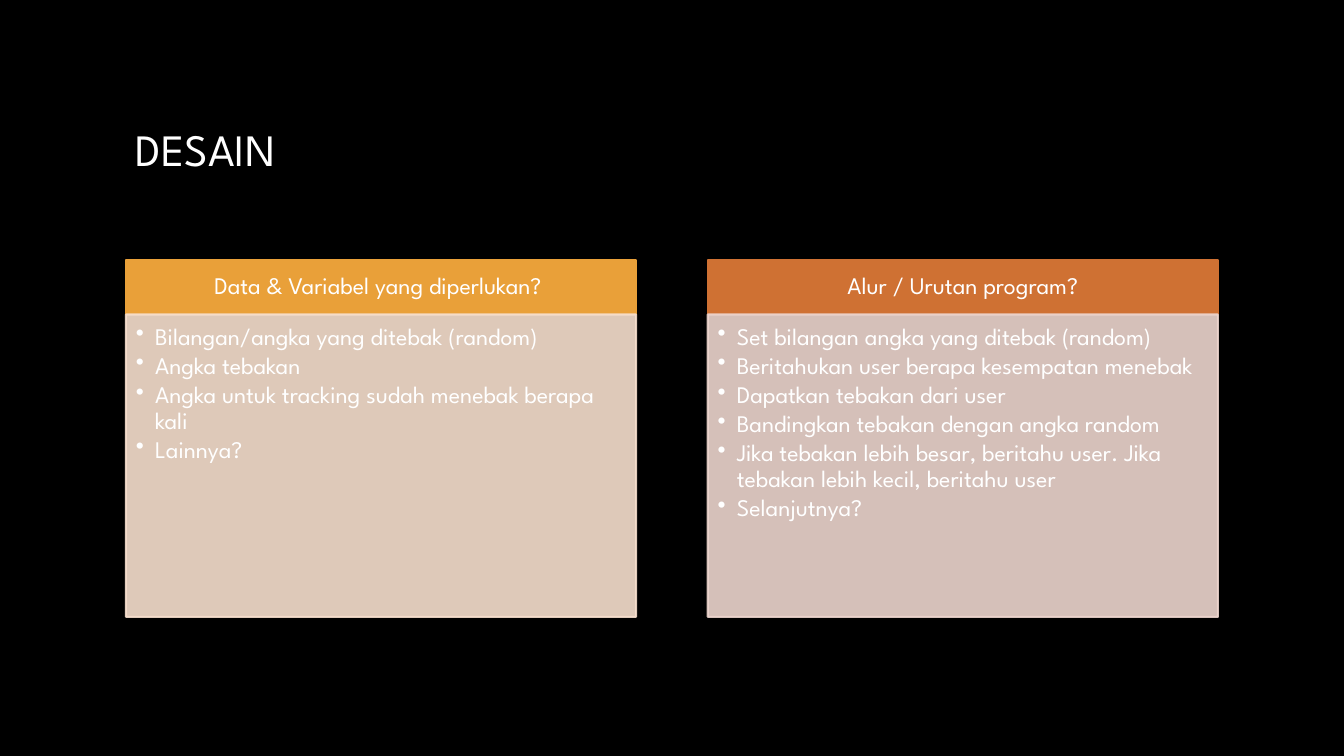
from lxml import etree
from pptx import Presentation
from pptx.dml.color import RGBColor
from pptx.enum.shapes import MSO_SHAPE
from pptx.enum.text import MSO_ANCHOR, PP_ALIGN
from pptx.oxml.ns import qn
from pptx.util import Inches, Pt

RECT = MSO_SHAPE.RECTANGLE
TOP, MIDDLE = MSO_ANCHOR.TOP, MSO_ANCHOR.MIDDLE
LEFT, CENTER = PP_ALIGN.LEFT, PP_ALIGN.CENTER

FONT = "League Spartan"
BLACK = RGBColor(0x00, 0x00, 0x00)
WHITE = RGBColor(0xFF, 0xFF, 0xFF)
AMBER = RGBColor(0xE9, 0xA0, 0x39)
CREAM = RGBColor(0xF7, 0xDF, 0xCE)
RUST = RGBColor(0xCF, 0x71, 0x33)
ROSE = RGBColor(0xED, 0xD5, 0xCE)


def write(shape, lines, size=17, align=LEFT, anchor=TOP, pads=(0.1, 0.05, 0.1, 0.05),
          space=1.0, after=0, bullet=None):
    """Fill a shape with one paragraph per line; pads run left, top, right, bottom."""
    frame = shape.text_frame
    frame.word_wrap = True
    frame.vertical_anchor = anchor
    (frame.margin_left, frame.margin_top,
     frame.margin_right, frame.margin_bottom) = map(Inches, pads)
    for i, line in enumerate(lines):
        para = frame.add_paragraph() if i else frame.paragraphs[0]
        para.alignment = align
        para.line_spacing = space
        para.space_after = Pt(after)
        run = para.add_run()
        run.text = line
        run.font.name = FONT
        run.font.size = Pt(size)
        run.font.color.rgb = WHITE
        if bullet:
            props = para._p.get_or_add_pPr()
            props.set("lvl", "1")
            props.set("marL", str(Inches(0.19)))
            props.set("indent", str(Inches(-0.19)))
            etree.SubElement(props, qn("a:buChar"), char=bullet)


def add_box(left, top, height, color, alpha=100):
    """Add a column-wide rectangle with fill and line of one colour; alpha in percent."""
    box = slide.shapes.add_shape(RECT, Inches(left), Inches(top), Inches(WIDTH), Inches(height))
    box.shadow.inherit = False
    box.fill.solid()
    box.fill.fore_color.rgb = color
    box.line.color.rgb = color
    box.line.width = Pt(1.5)
    if alpha < 100:
        for tone in box._element.spPr.iter(qn("a:srgbClr")):
            etree.SubElement(tone, qn("a:alpha"), val=str(alpha * 1000))
    return box


prs = Presentation()
prs.slide_width, prs.slide_height = Inches(13.33), Inches(7.5)
slide = prs.slides.add_slide(prs.slide_layouts[6])
slide.background.fill.solid()
slide.background.fill.fore_color.rgb = BLACK

title = slide.shapes.add_textbox(Inches(1.25), Inches(0.67), Inches(10.83), Inches(1.61))
write(title, ["DESAIN"], size=32, anchor=MIDDLE)

START, STEP, WIDTH = 1.25, 5.77, 5.06
HEAD_TOP, HEAD_HEIGHT, BODY_HEIGHT = 2.58, 0.54, 3
COLUMNS = [
    ("Data & Variabel yang diperlukan? ", AMBER, CREAM, [
        "Bilangan/angka yang ditebak (random)",
        "Angka tebakan",
        "Angka untuk tracking sudah menebak berapa kali",
        "Lainnya?",
    ]),
    ("Alur / Urutan program?", RUST, ROSE, [
        "Set bilangan angka yang ditebak (random)",
        "Beritahukan user berapa kesempatan menebak",
        "Dapatkan tebakan dari user",
        "Bandingkan tebakan dengan angka random",
        "Jika tebakan lebih besar, beritahu user. Jika tebakan lebih kecil, beritahu user",
        "Selanjutnya?",
    ]),
]

for i, (heading, strong, pale, points) in enumerate(COLUMNS):
    left = START + i * STEP
    head = add_box(left, HEAD_TOP, HEAD_HEIGHT, strong)
    write(head, [heading], align=CENTER, anchor=MIDDLE, pads=(0.13, 0.08, 0.13, 0.08),
          space=0.9, after=6)
    body = add_box(left, HEAD_TOP + HEAD_HEIGHT, BODY_HEIGHT, pale, alpha=90)
    write(body, points, pads=(0.1, 0.1, 0.13, 0.15), space=0.9, after=2.5, bullet="•")

prs.save("out.pptx")
